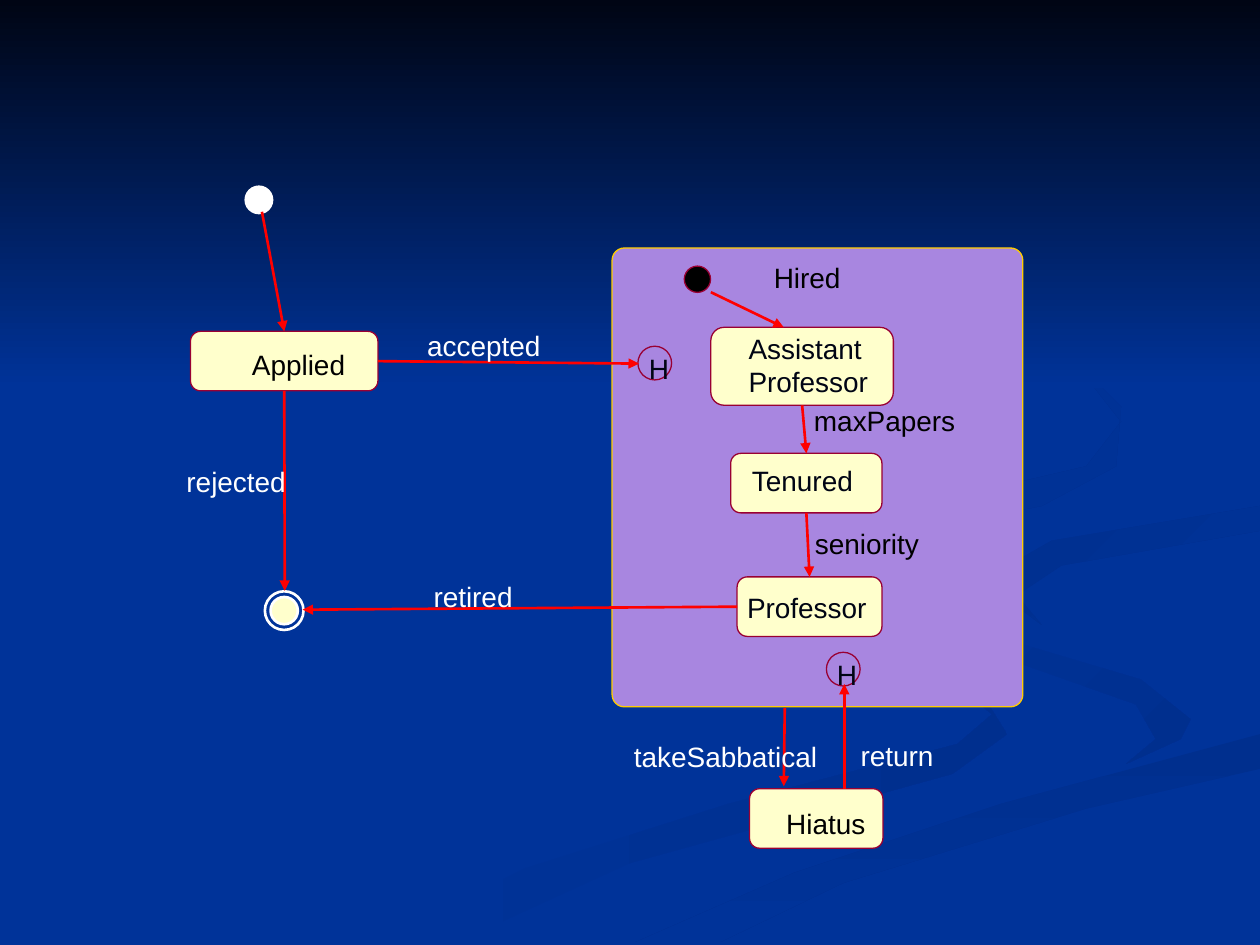
import pptx
import pptx.util
import pptx.dml.color
import pptx.enum.shapes
import pptx.enum.text
import pptx.oxml
import pptx.oxml.ns

Cm = pptx.util.Cm
Pt = pptx.util.Pt
RGB = pptx.dml.color.RGBColor.from_string
MSO = pptx.enum.shapes.MSO_SHAPE

C = {"bg": "003399", "night": "000514", "cream": "FFFFCC", "wine": "990033",
     "white": "FFFFFF", "black": "000000", "red": "FF0000", "violet": "A886E0",
     "gold": "FFCC00", "shade": "002F8E"}

prs = pptx.Presentation()
prs.slide_width, prs.slide_height = Cm(25.4), Cm(19.05)
s = prs.slides.add_slide(prs.slide_layouts[6])
s.background.fill.solid()
s.background.fill.fore_color.rgb = RGB(C["bg"])


def paint(sp, fill, line=None, width=0, angle=0):
    sp.shadow.inherit = False
    if isinstance(fill, tuple):
        sp.fill.gradient()
        sp.fill.gradient_angle = angle
        for stop, color in zip(sp.fill.gradient_stops, fill):
            stop.color.rgb = RGB(C[color])
    elif fill:
        sp.fill.solid()
        sp.fill.fore_color.rgb = RGB(C[fill])
    else:
        sp.fill.background()
    if line:
        sp.line.color.rgb = RGB(C[line])
        sp.line.width = Pt(width)
    else:
        sp.line.fill.background()


for fill, angle, points in [
    (("bg", "shade"), 0, [
        (198, 140), (156, 126), (146, 117), (148, 123), (194, 139), (200, 144), (193, 150),
        (147, 162), (106, 175), (76, 190), (92, 190), (127, 174), (192, 156), (203, 148)]),
    (("bg", "shade"), 315, [
        (240, 145), (230, 137), (193, 126), (184, 118), (195, 130), (229, 142), (233, 149),
        (227, 154), (238, 149)]),
    (("shade", "bg"), 270, [
        (128, 190), (145, 190), (170, 178), (219, 163), (254, 155), (254, 148), (202, 162),
        (160, 176)]),
    (("shade", "bg"), 315, [
        (198, 117), (210, 126), (205, 120), (214, 114), (254, 107), (254, 102), (212, 109)]),
    (("shade", "bg"), 315, [
        (174, 109), (210, 102), (225, 94), (226, 82), (214, 70), (194, 59), (215, 71),
        (226, 85), (219, 94), (172, 105), (147, 117), (158, 127), (151, 119), (159, 113)]),
]:
    fb = s.shapes.build_freeform(*points[0], scale=Cm(0.1))
    fb.add_line_segments(points[1:], close=True)
    paint(fb.convert_to_shape(), fill, angle=angle)

sky = s.shapes.add_shape(MSO.RECTANGLE, 0, 0, prs.slide_width, Cm(7.82))
paint(sky, ("night", "bg"), angle=270)

states = {}
for name, x, y, w, h in [
    ("Hired", 12.34, 5, 8.28, 9.25),
    ("Assistant", 14.33, 6.6, 3.68, 1.57),
    ("Tenured", 14.73, 9.14, 3.05, 1.2),
    ("Professor", 14.86, 11.63, 2.92, 1.2),
    ("Applied", 3.84, 6.68, 3.78, 1.2),
    ("Hiatus", 15.11, 15.9, 2.69, 1.2),
]:
    sp = s.shapes.add_shape(MSO.ROUNDED_RECTANGLE, Cm(x), Cm(y), Cm(w), Cm(h))
    outer = name == "Hired"
    sp.adjustments[0] = 0.03 if outer else 0.17
    paint(sp, "violet" if outer else "cream", "gold" if outer else "wine")
    states[name] = sp

for x, y, d, fill, line, width in [
    (5.22, 4.03, 0.53, "white", "white", 1.5),
    (14.06, 5.63, 0.53, "black", "wine", 0),
    (5.73, 12.31, 0.78, None, "white", 1.5),
    (5.73, 12.31, 0.55, "cream", "white", 1.5),
    (13.2, 7.32, 0.68, None, "wine", 0),
    (17, 13.49, 0.68, None, "wine", 0),
]:
    sp = s.shapes.add_shape(MSO.OVAL, Cm(x - d / 2), Cm(y - d / 2), Cm(d), Cm(d))
    paint(sp, fill, line, width)

for start, stop in [
    ((5.28, 4.27), ("Applied", 0)),
    (("Applied", 2), (5.74, 11.91)),
    (("Applied", 3), (12.88, 7.33)),
    ((14.33, 5.89), (15.8, 6.6)),
    (("Assistant", 2), ("Tenured", 0)),
    (("Tenured", 2), ("Professor", 0)),
    ((17.02, 15.9), (17.02, 13.79)),
    ((15.82, 14.27), (15.8, 15.85)),
    (("Professor", 1), (6.1, 12.29)),
]:
    free = [(0, 0) if end[0] in states else end for end in (start, stop)]
    cn = s.shapes.add_connector(pptx.enum.shapes.MSO_CONNECTOR.STRAIGHT,
                                *[Cm(v) for point in free for v in point])
    for end, join in ((start, cn.begin_connect), (stop, cn.end_connect)):
        if end[0] in states:
            join(states[end[0]], end[1])
    cn.line.color.rgb = RGB(C["red"])
    cn.line.width = Pt(1.5)
    ns = pptx.oxml.ns.nsdecls("a")
    ln = cn.line._get_or_add_ln()
    ln.append(pptx.oxml.parse_xml(f'<a:tailEnd {ns} type="triangle"/>'))
    ln.addnext(pptx.oxml.parse_xml(f"<a:effectLst {ns}/>"))

frame = {"word_wrap": False, "auto_size": pptx.enum.text.MSO_AUTO_SIZE.SHAPE_TO_FIT_TEXT,
         "margin_left": 0, "margin_top": 0, "margin_right": 0, "margin_bottom": 0}
font = {"name": "Arial", "size": Pt(16)}
for text, x, y, w, color in [
    ("Hired", 15.6, 5.26, 1.35, "black"),
    ("Assistant\nProfessor", 15.09, 6.68, 3.78, "night"),
    ("Tenured", 15.16, 9.35, 2.06, "night"),
    ("Professor", 15.06, 11.91, 2.67, "night"),
    ("Applied", 5.08, 7.01, 1.88, "black"),
    ("Hiatus", 15.85, 16.26, 1.63, "black"),
    ("H", 13.08, 7.09, 0.41, "night"),
    ("H", 16.87, 13.26, 0.41, "night"),
    ("rejected", 3.76, 9.37, 2.03, "white"),
    ("accepted", 8.61, 6.63, 2.31, "white"),
    ("retired", 8.74, 11.68, 1.63, "white"),
    ("takeSabbatical", 12.78, 14.91, 3.73, "white"),
    ("return", 17.35, 14.88, 1.5, "white"),
    ("maxPapers", 16.41, 8.13, 2.9, "black"),
    ("seniority", 16.43, 10.62, 2.13, "black"),
]:
    rows = text.count("\n") + 1
    sp = s.shapes.add_textbox(Cm(x), Cm(y), Cm(w), Cm(0.69 * rows))
    tf = sp.text_frame
    for key, value in frame.items():
        setattr(tf, key, value)
    tf.text = text
    for p in tf.paragraphs:
        r = p.runs[0]
        for key, value in font.items():
            setattr(r.font, key, value)
        r.font.color.rgb = RGB(C[color])

prs.save("out.pptx")
